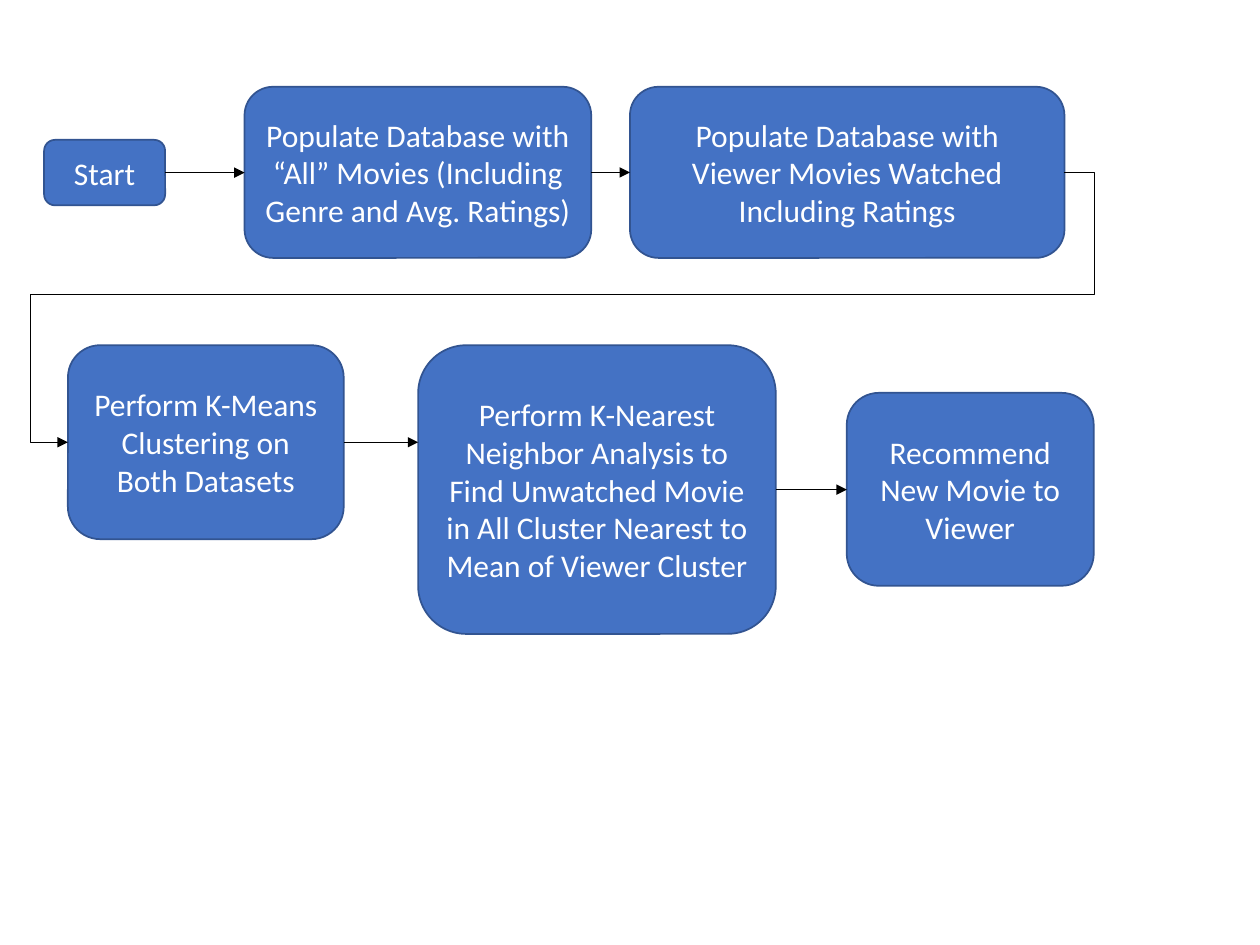
import pptx
import pptx.dml.color
import pptx.enum.shapes
import pptx.enum.text
import pptx.oxml.ns
import pptx.util
from lxml import etree
from pptx.util import Cm

BLUE = pptx.dml.color.RGBColor(0x44, 0x72, 0xC4)
DARK_BLUE = pptx.dml.color.RGBColor(0x32, 0x54, 0x91)
WHITE = pptx.dml.color.RGBColor(0xFF, 0xFF, 0xFF)
BLACK = pptx.dml.color.RGBColor(0x00, 0x00, 0x00)
CONNECTOR = pptx.enum.shapes.MSO_CONNECTOR

# Each step: text, then left, top, width and height in cm within its row.
DATA_STEPS = [
    ("Start", 0, 1.07, 2.44, 1.32),
    ("Populate Database with “All” Movies (Including Genre and Avg. Ratings)",
     4.04, 0, 6.99, 3.45),
    ("Populate Database with Viewer Movies Watched Including Ratings",
     11.81, 0, 8.76, 3.45),
]
ANALYSIS_STEPS = [
    ("Perform K-Means Clustering on Both Datasets", 0, 0, 5.56, 3.91),
    ("Perform K-Nearest Neighbor Analysis to Find Unwatched Movie in All "
     "Cluster Nearest to Mean of Viewer Cluster", 7.06, 0, 7.21, 5.82),
    ("Recommend New Movie to Viewer", 15.7, 0.96, 4.98, 3.89),
]


def middle(box):
    return box.top + box.height // 2


def add_step(page, text, left, top, width, height):
    box = page.shapes.add_shape(
        pptx.enum.shapes.MSO_SHAPE.ROUNDED_RECTANGLE, left, top, width, height)
    box.shadow.inherit = False
    box.fill.solid()
    box.fill.fore_color.rgb = BLUE
    box.line.color.rgb = DARK_BLUE
    box.line.width = pptx.util.Pt(1)
    box.text_frame.word_wrap = True
    box.text_frame.vertical_anchor = pptx.enum.text.MSO_ANCHOR.MIDDLE
    para = box.text_frame.paragraphs[0]
    para.alignment = pptx.enum.text.PP_ALIGN.CENTER
    span = para.add_run()
    span.text = text
    span.font.name = "Calibri"
    span.font.size = pptx.util.Pt(18)
    span.font.color.rgb = WHITE
    return box


def add_link(page, kind, start, end, arrow=True):
    link = page.shapes.add_connector(kind, *start, *end)
    link.line.color.rgb = BLACK
    link.line.width = pptx.util.Pt(0.5)
    if arrow:
        etree.SubElement(link.line._get_or_add_ln(),
                         pptx.oxml.ns.qn("a:tailEnd"), type="triangle")
    etree.SubElement(link._element.spPr, pptx.oxml.ns.qn("a:effectLst"))
    return link


def add_row(page, left, top, steps):
    """Place the steps of one row and join each to the next."""
    boxes = [add_step(page, text, left + Cm(x), top + Cm(y), Cm(width), Cm(height))
             for text, x, y, width, height in steps]
    for box, following in zip(boxes, boxes[1:]):
        level = middle(box)
        add_link(page, CONNECTOR.STRAIGHT,
                 (box.left + box.width, level), (following.left, level))
    return boxes


def add_return(page, last, first, lane_left, lane_top, overshoot):
    """Lead from the end of one row around to the start of the next."""
    right = last.left + last.width
    across = add_link(page, CONNECTOR.ELBOW, (right, middle(last)),
                      (lane_left, lane_top), arrow=False)
    # The bend lies beyond the starting point, so its share is negative.
    across.adjust = None
    geometry = across._element.spPr.find(pptx.oxml.ns.qn("a:prstGeom"))
    guides = geometry.find(pptx.oxml.ns.qn("a:avLst"))
    bend = -round(overshoot / across.width * 100000)
    etree.SubElement(guides, pptx.oxml.ns.qn("a:gd"), name="adj1", fmla=f"val {bend}")

    # A quarter turn swaps width and height about the same centre.
    drop, reach = middle(first) - lane_top, first.left - lane_left
    left = lane_left + (reach - drop) // 2
    top = lane_top + (drop - reach) // 2
    down = add_link(page, CONNECTOR.ELBOW, (left + drop, top), (left, top + reach))
    down._element.spPr.find(pptx.oxml.ns.qn("a:prstGeom")).set("prst", "bentConnector2")
    down._element.spPr.find(pptx.oxml.ns.qn("a:xfrm")).set("rot", str(270 * 60000))


def main():
    deck = pptx.Presentation()
    deck.slide_width, deck.slide_height = Cm(25.4), Cm(19.05)
    page = deck.slides.add_slide(deck.slide_layouts[6])
    data_row = add_row(page, Cm(0.89), Cm(1.75), DATA_STEPS)
    analysis_row = add_row(page, Cm(1.37), Cm(6.96), ANALYSIS_STEPS)
    add_return(page, data_row[-1], analysis_row[0], Cm(0.61), Cm(5.94), Cm(0.61))
    deck.save("out.pptx")


if __name__ == "__main__":
    main()
